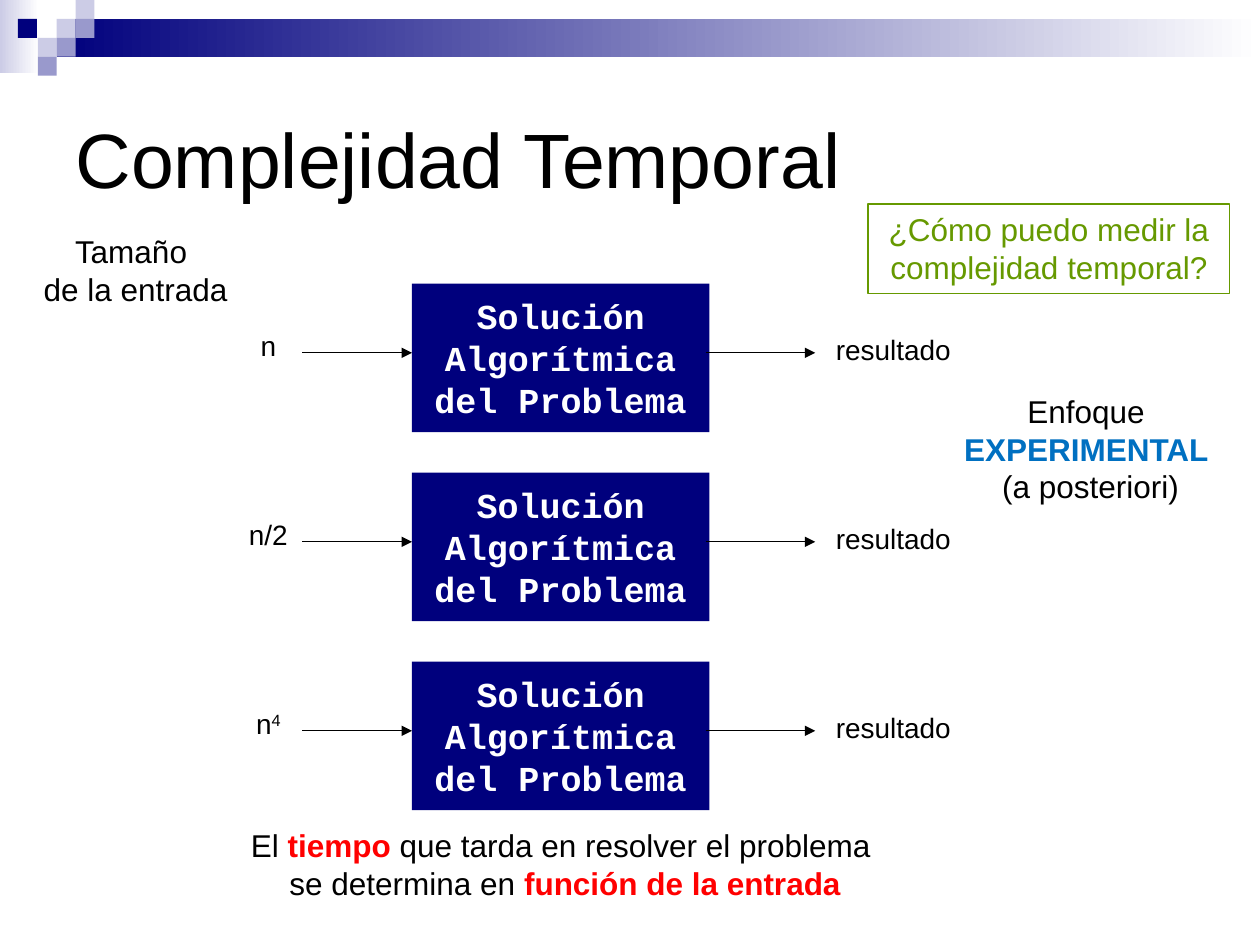
import pptx
import pptx.util
import pptx.dml.color
import pptx.enum.shapes
import pptx.enum.text
import pptx.oxml.ns
import lxml.etree

# Grid of 100 columns by 75 rows, with square cells
COLS, ROWS = 100, 75
CELL = pptx.util.Inches(0.1)
NAVY, LILAC, MAUVE = "00007D", "CCCCE6", "9999CC"
BLACK, WHITE, RED = "000000", "FFFFFF", "FF0000"
GREEN, BLUE = "669900", "0070C1"
RECT = pptx.enum.shapes.MSO_SHAPE.RECTANGLE
LINE = pptx.enum.shapes.MSO_CONNECTOR.STRAIGHT
ALIGN = pptx.enum.text.PP_ALIGN
ANCHOR = pptx.enum.text.MSO_ANCHOR


def grid(*vals):
    return [round(v * CELL) for v in vals]


def color(code):
    return pptx.dml.color.RGBColor.from_string(code)


def write(frame, paras, size, font="Arial", align=ALIGN.CENTER):
    """Each paragraph is a list of runs: (text, colour, bold, raised)."""
    for i, runs in enumerate(paras):
        para = frame.paragraphs[0] if i == 0 else frame.add_paragraph()
        para.alignment = align
        for text, code, bold, *raised in runs:
            run = para.add_run()
            run.text = text
            run.font.name = font
            run.font.size = pptx.util.Pt(size)
            run.font.bold = bold
            run.font.color.rgb = color(code)
            if raised:
                run._r.get_or_add_rPr().set("baseline", "30000")


def label(slide, box, paras, size, wrap=True):
    text = slide.shapes.add_textbox(*grid(*box))
    text.text_frame.word_wrap = wrap
    write(text.text_frame, paras, size)
    return text


def block(slide, box, *fills):
    """Rectangle with one plain fill, or a gradient of two."""
    shape = slide.shapes.add_shape(RECT, *grid(*box))
    shape.shadow.inherit = False
    shape.line.fill.background()
    if len(fills) == 1:
        shape.fill.solid()
        shape.fill.fore_color.rgb = color(fills[0])
    else:
        shape.fill.gradient()
        shape.fill.gradient_angle = 0
        for stop, code in zip(shape.fill.gradient_stops, fills):
            stop.color.rgb = color(code)
    return shape


def arrow(slide, left, right, y):
    line = slide.shapes.add_connector(LINE, *grid(left, y, right, y))
    line.line.color.rgb = color(BLACK)
    line.line.width = pptx.util.Pt(0.75)
    qn = pptx.oxml.ns.qn
    lxml.etree.SubElement(line.line._get_or_add_ln(), qn("a:tailEnd"), type="triangle")
    lxml.etree.SubElement(line._element.spPr, qn("a:effectLst"))


def header(slide, box):
    """Fading bars and a stair of small squares."""
    x, y, w, h = box
    side = h / 4
    block(slide, (x, y, 3.1, 5.8), LILAC, WHITE)
    block(slide, (x + 3 * side, y + side, w - 3 * side, 2 * side), NAVY, WHITE)
    tiles = [(3, 1, LILAC), (4, 0, LILAC), (4, 1, MAUVE), (2, 2, LILAC),
             (0.95, 1, NAVY), (3, 2, MAUVE), (2, 3, MAUVE)]
    for col, row, code in tiles:
        block(slide, (x + col * side, y + row * side, side, side), code)


def heading(slide, box, text):
    title = slide.shapes.title
    title.left, title.top, title.width, title.height = grid(*box)
    title.text_frame.vertical_anchor = ANCHOR.MIDDLE
    write(title.text_frame, [[(text, BLACK, False)]], 44, align=ALIGN.LEFT)


def flow(slide, box, entry):
    """Input, solution and result, joined by arrows."""
    x, y, w, h = box
    label(slide, (x + w - 15, y + 3.4, 15, 3.7), [[("resultado", BLACK, False)]], 16)
    step = block(slide, (x + 17.4, y, 23.6, h), NAVY)
    frame = step.text_frame
    frame.word_wrap = True
    frame.vertical_anchor = ANCHOR.MIDDLE
    write(frame, [[("Solución Algorítmica del Problema", WHITE, True)]], 20, "Courier New")
    label(slide, (x, y + 3.1, 12, 3.7), [entry], 16)
    for start in (8.7, 40.7):
        arrow(slide, x + start, x + start + 8.7, y + 5.5)


def asking(slide, box):
    text = [("¿Cómo puedo medir la complejidad temporal?", GREEN, False)]
    ask = label(slide, box, [text], 18)
    ask.line.color.rgb = color(GREEN)
    ask.line.width = pptx.util.Pt(0.75)


def main():
    deck = pptx.Presentation()
    deck.slide_width, deck.slide_height = grid(COLS, ROWS)
    slide = deck.slides.add_slide(deck.slide_layouts[5])

    # Header and title
    header(slide, (0, 0, COLS, 6))
    heading(slide, (5, 5, 90, 15), "Complejidad Temporal")

    # Three runs of the same solution
    entries = [[("n", BLACK, False)],
               [("n/2", BLACK, False)],
               [("n", BLACK, False), ("4", BLACK, False, True)]]
    for i, entry in enumerate(entries):
        flow(slide, (15.3, 22.5 + 15 * i, 63.1, 11.8), entry)

    # Notes around the flows
    asking(slide, (68.9, 16.2, 28.7, 7.1))
    label(slide, (2.4, 17.9, 16.7, 7.1),
          [[("Tamaño ", BLACK, False)], [("de la entrada", BLACK, False)]], 18, False)
    label(slide, (75.4, 30.6, 22.3, 10.1),
          [[("Enfoque ", BLACK, False)], [("EXPERIMENTAL ", BLUE, True)],
           [("(a posteriori)", BLACK, False)]], 18, False)
    label(slide, (18.9, 65.1, 51.9, 7),
          [[("El ", BLACK, False), ("tiempo", RED, True),
            (" que tarda en resolver el problema ", BLACK, False)],
           [("se determina en ", BLACK, False),
            ("función de la entrada", RED, True)]], 18, False)

    deck.save("out.pptx")


if __name__ == "__main__":
    main()
